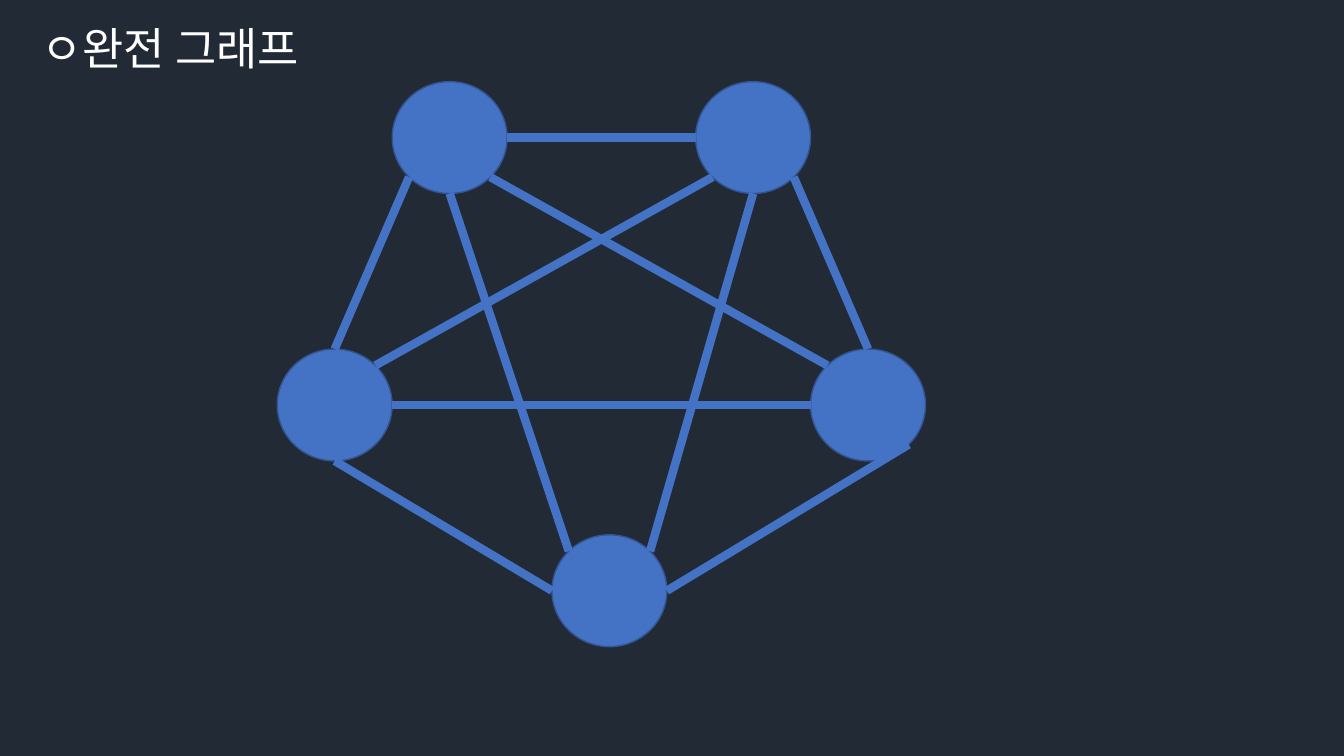
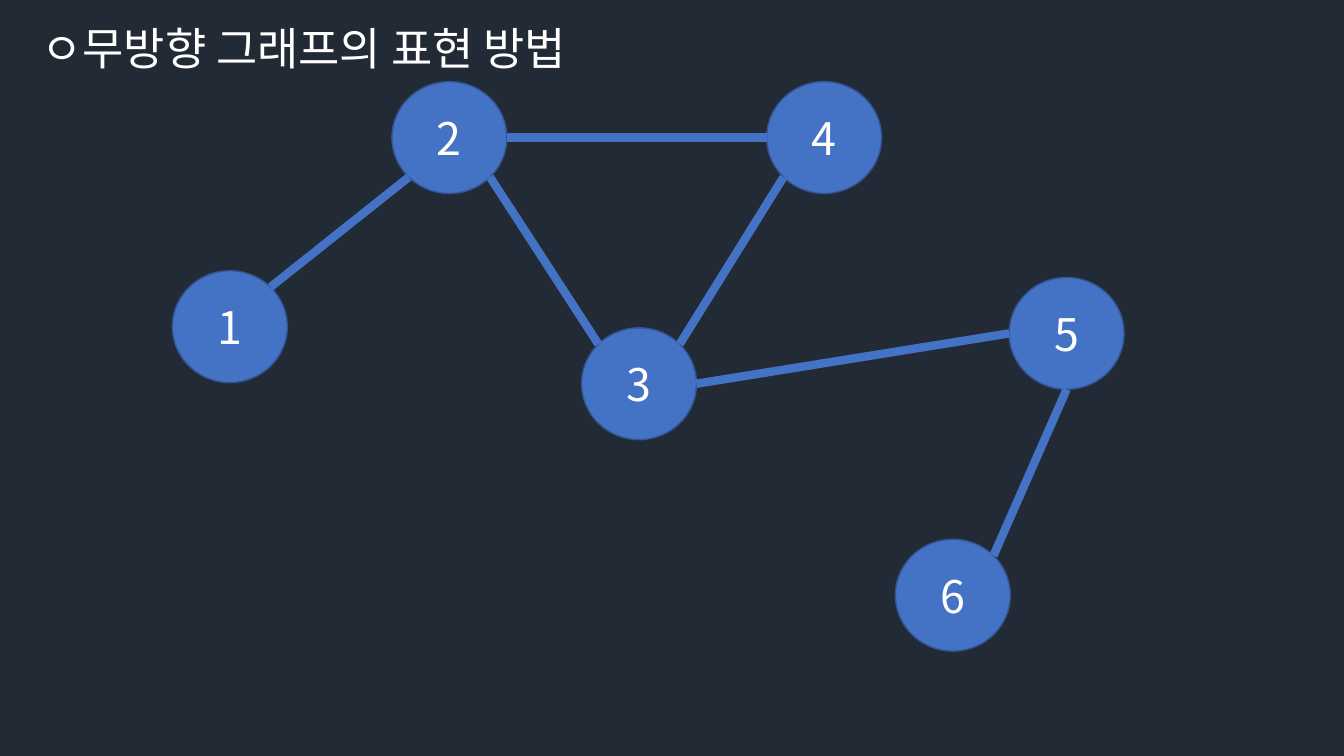
from math import cos, pi, sin

from lxml.etree import SubElement
from pptx import Presentation
from pptx.dml.color import RGBColor
from pptx.enum.shapes import MSO_CONNECTOR as Connector, MSO_SHAPE as Shape
from pptx.enum.text import MSO_ANCHOR as Anchor, MSO_AUTO_SIZE as AutoSize, PP_ALIGN as Align
from pptx.oxml.ns import qn
from pptx.util import Inches, Pt

COLORS = {
    "background": "222A35",
    "node": "4472C4",
    "outline": "325491",
    "text": "FFFFFF",
}
FONT = "Noto Sans CJK KR"
TEXT_SIZE = 32
SLIDE_WIDTH, SLIDE_HEIGHT = 13.33, 7.5
TITLE_LEFT, TITLE_TOP, TITLE_HEIGHT = 0.31, 0.16, 0.64
COLUMN, ROW = 1.14, 1.11
GRAPH_TOP = 0.81
TITLE_ONLY = 5

SITES = ("top", "top left", "left", "bottom left",
         "bottom", "bottom right", "right", "top right")

COMPLETE_GRAPH = {
    "title": "ㅇ완전 그래프",
    "title_width": 3.98,
    "left": 2.75,
    "numbered": False,
    "nodes": {
        "west": (0, 2.39),
        "northwest": (1, 0),
        "northeast": (3.64, 0),
        "east": (4.64, 2.39),
        "south": (2.39, 4.05),
    },
    "edges": [
        ("northwest", "bottom left", "west", "top"),
        ("south", "left", "west", "bottom"),
        ("south", "right", "east", "bottom right"),
        ("northeast", "bottom right", "east", "top"),
        ("northeast", "left", "northwest", "right"),
        ("northeast", "bottom left", "west", "top right"),
        ("northeast", "bottom", "south", "top right"),
        ("northwest", "bottom", "south", "top left"),
        ("northwest", "bottom right", "east", "top left"),
        ("west", "right", "east", "left"),
    ],
}

UNDIRECTED_GRAPH = {
    "title": "ㅇ무방향 그래프의 표현 방법",
    "title_width": 7.29,
    "left": 1.71,
    "numbered": True,
    "nodes": {
        "1": (0, 1.69),
        "2": (1.91, 0),
        "3": (3.56, 2.2),
        "4": (5.17, 0),
        "5": (7.28, 1.75),
        "6": (6.29, 4.09),
    },
    "edges": [
        ("1", "top right", "2", "bottom left"),
        ("3", "top left", "2", "bottom right"),
        ("4", "left", "2", "right"),
        ("4", "bottom left", "3", "top right"),
        ("5", "left", "3", "right"),
        ("5", "bottom", "6", "top right"),
    ],
}


def color(name):
    return RGBColor.from_string(COLORS[name])


def write_text(frame, text, align, anchor):
    frame.auto_size = AutoSize.NONE
    frame.vertical_anchor = anchor
    para = frame.paragraphs[0]
    para.alignment = align
    span = para.add_run()
    span.text = text
    span.font.size = Pt(TEXT_SIZE)
    span.font.name = FONT
    span.font.color.rgb = color("text")
    SubElement(span.font._element, qn("a:ea"), typeface=FONT)


def place_title(page, text, width):
    title = page.shapes.title
    title.left, title.top = Inches(TITLE_LEFT), Inches(TITLE_TOP)
    title.width, title.height = Inches(width), Inches(TITLE_HEIGHT)
    title.text_frame.word_wrap = True
    write_text(title.text_frame, text, Align.LEFT, Anchor.TOP)


def add_node(page, left, top, label):
    node = page.shapes.add_shape(
        Shape.OVAL, Inches(left), Inches(top), Inches(COLUMN), Inches(ROW))
    node.shadow.inherit = False
    node.fill.solid()
    node.fill.fore_color.rgb = color("node")
    node.line.color.rgb = color("outline")
    node.line.width = Pt(1)
    if label:
        frame = node.text_frame
        frame.margin_left = frame.margin_right = 0
        frame.margin_top = frame.margin_bottom = 0
        write_text(frame, label, Align.CENTER, Anchor.MIDDLE)
    return node


def site_point(node, site):
    angle = pi / 2 + SITES.index(site) * pi / 4
    x = node.left + node.width * (1 + cos(angle)) / 2
    y = node.top + node.height * (1 - sin(angle)) / 2
    return round(x), round(y)


def add_edge(page, start, start_site, end, end_site):
    edge = page.shapes.add_connector(
        Connector.STRAIGHT, *site_point(start, start_site), *site_point(end, end_site))
    edge.line.color.rgb = color("node")
    edge.line.width = Pt(6)
    SubElement(edge._element.spPr, qn("a:effectLst"))
    joints = edge._element.nvCxnSpPr.cNvCxnSpPr
    for tag, node, site in (("a:stCxn", start, start_site), ("a:endCxn", end, end_site)):
        SubElement(joints, qn(tag), id=str(node.shape_id), idx=str(SITES.index(site)))


def draw_graph(page, left, top, graph):
    nodes = {
        name: add_node(page, left + column * COLUMN, top + row * ROW,
                       name if graph["numbered"] else "")
        for name, (column, row) in graph["nodes"].items()
    }
    for start, start_site, end, end_site in graph["edges"]:
        add_edge(page, nodes[start], start_site, nodes[end], end_site)


def add_graph_page(deck, graph):
    page = deck.slides.add_slide(deck.slide_layouts[TITLE_ONLY])
    place_title(page, graph["title"], graph["title_width"])
    draw_graph(page, graph["left"], GRAPH_TOP, graph)


def main():
    deck = Presentation()
    deck.slide_width, deck.slide_height = Inches(SLIDE_WIDTH), Inches(SLIDE_HEIGHT)
    backdrop = deck.slide_master.background.fill
    backdrop.solid()
    backdrop.fore_color.rgb = color("background")
    for graph in (COMPLETE_GRAPH, UNDIRECTED_GRAPH):
        add_graph_page(deck, graph)
    deck.save("out.pptx")


if __name__ == "__main__":
    main()
